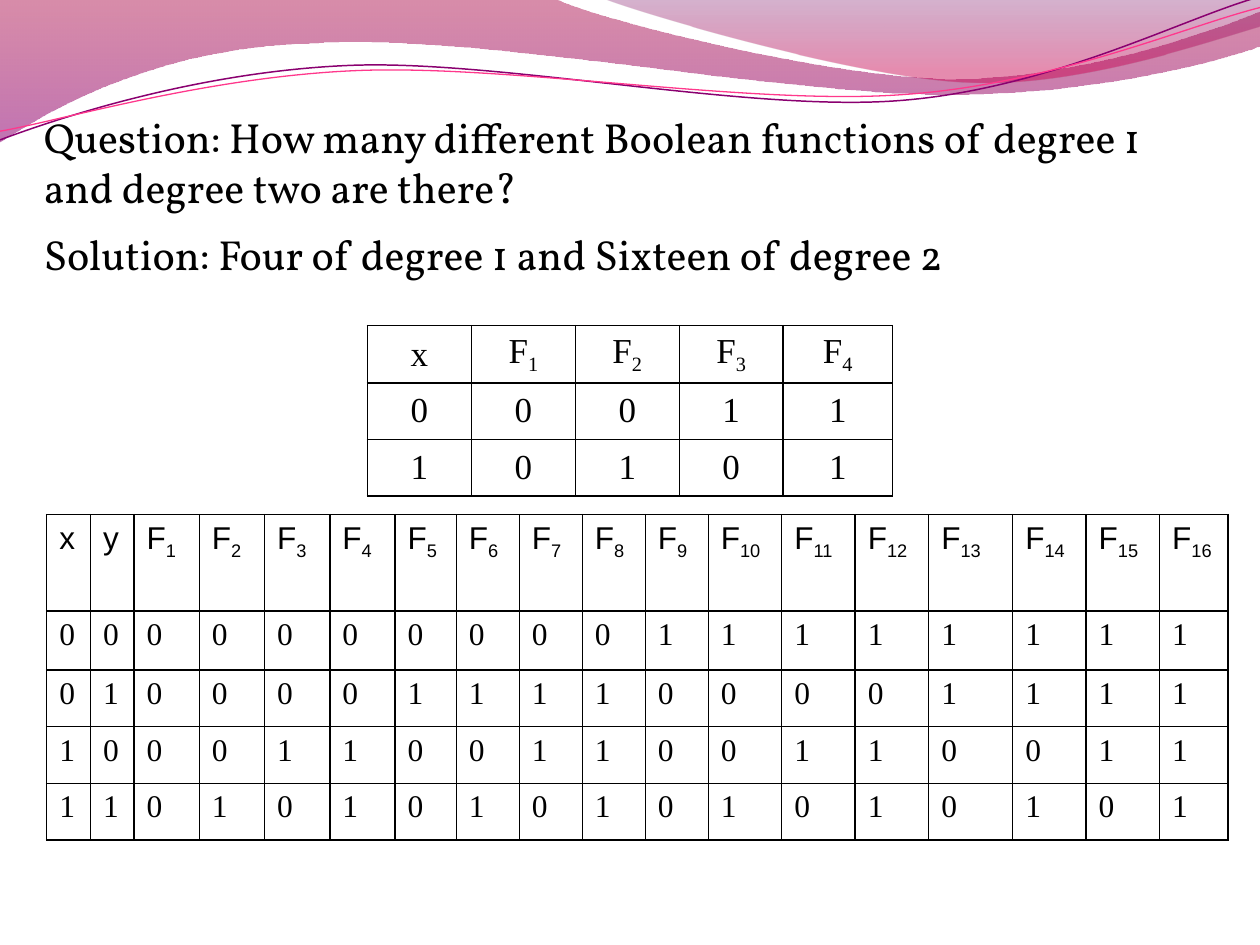
from itertools import product

from lxml import etree
from pptx import Presentation
from pptx.dml import color
from pptx.enum import text
from pptx.oxml import ns
from pptx.util import Pt

COLORS = {
    "ink": "000000",
    "crimson": "A90042",
    "purple": "8E0073",
    "plum": "73005E",
    "rose": "C9004F",
    "violet line": "8A0070",
    "pink line": "FF388C",
}


def add_wave(start, segments, closed):
    """Draw straight (2 numbers) and cubic Bezier (6 numbers) segments, in points."""
    corners = [(Pt(segment[i]), Pt(segment[i + 1]))
               for segment in segments for i in range(0, len(segment), 2)]
    builder = slide.shapes.build_freeform(Pt(start[0]), Pt(start[1]), scale=1.0)
    builder.add_line_segments(corners, close=closed)
    wave = builder.convert_to_shape()
    wave.shadow.inherit = False

    # Merge the three line steps of each Bezier segment into one curve
    steps = iter(list(wave._element.iter(ns.qn("a:lnTo"))))
    for segment in segments:
        first = next(steps)
        if len(segment) == 6:
            first.addprevious(curve := etree.Element(ns.qn("a:cubicBezTo")))
            for step in (first, next(steps), next(steps)):
                curve.append(step[0])
                step.getparent().remove(step)
    return wave


def add_truth_table(variables, left, top, widths, heights, size, header_font,
                    align, anchor, margin):
    """List every Boolean function of the variables, one numbered column each."""
    inputs = list(product((0, 1), repeat=len(variables)))
    count = 2 ** len(inputs)
    rows = [[(name, "") for name in variables] + [("F", str(n + 1)) for n in range(count)]]
    for index, values in enumerate(inputs):
        shift = len(inputs) - 1 - index
        outputs = [n >> shift & 1 for n in range(count)]
        rows.append([(str(bit), "") for bit in (*values, *outputs)])

    table = slide.shapes.add_table(len(rows), len(widths), Pt(left), Pt(top),
                                   Pt(sum(widths)), Pt(sum(heights))).table
    table.first_row = table.horz_banding = False
    for column, width in zip(table.columns, widths):
        column.width = Pt(width)
    for row, height in zip(table.rows, heights):
        row.height = Pt(height)

    for r, row in enumerate(rows):
        for c, (label, subscript) in enumerate(row):
            cell = table.cell(r, c)
            cell.vertical_anchor = anchor
            cell.margin_top = cell.margin_bottom = Pt(margin)
            properties = cell._tc.get_or_add_tcPr()
            for side in ("lnL", "lnR", "lnT", "lnB"):
                border = etree.SubElement(properties, ns.qn(f"a:{side}"), w=str(Pt(1)))
                fill = etree.SubElement(border, ns.qn("a:solidFill"))
                etree.SubElement(fill, ns.qn("a:srgbClr"), val=COLORS["ink"])
            cell.fill.background()
            para = cell.text_frame.paragraphs[0]
            para.alignment = align
            if not subscript:
                para.space_before = Pt(size * 0.2)
            for part in filter(None, (label, subscript)):
                span = para.add_run()
                span.text = part
                span.font.size = Pt(size)
                span.font.name = "Times New Roman" if r else header_font
                span.font.color.rgb = color.RGBColor.from_string(COLORS["ink"])
                if part == subscript:
                    span.font._element.set("baseline", "-25000")


deck = Presentation()
deck.slide_width, deck.slide_height = Pt(720), Pt(540)
slide = deck.slides.add_slide(deck.slide_layouts[6])

# Translucent bands: start, segments, gradient stops (position, colour, opacity %)
bands = [
    ((0, 0),
     [(317, -0.7), (343, 12, 478, 45, 546, 45), (614, 45, 690, 19, 720, 6.5), (720.7, 26),
      (708, 32, 626, 55, 537, 54), (446, 54, 275, 20, 185, 24.5), (93, 26, 33, 60, -0.7, 81.4)],
     [(0, "crimson", 45), (1, "purple", 55)]),
    ((345, -0.7),
     [(366.5, 8, 491, 44.6, 553.7, 46.8), (616.3, 49.7, 692, 23, 720, 15), (720, 0)],
     [(0, "plum", 30), (0.8, "rose", 45)]),
]
for start, segments, stops in bands:
    band = add_wave(start, segments, closed=True)
    band.line.fill.background()
    band.fill.gradient()
    band.fill.gradient_angle = 270
    for stop, (position, name, _) in zip(band.fill.gradient_stops, stops):
        stop.position = position
        stop.color.rgb = color.RGBColor.from_string(COLORS[name])
    tints = band._element.spPr.iter(ns.qn("a:srgbClr"))
    for tint, (_, _, opacity) in zip(list(tints), stops):
        etree.SubElement(tint, ns.qn("a:alpha"), val=str(opacity * 1000))

# Thin strands, tilted after drawing
strands = [
    ((-1.4, 63), [(33.8, 51.7, 114, 29.4, 199.8, 29.9), (284.8, 30.3, 425.8, 67.3, 512.4, 64.8),
                  (599, 62.4, 676.5, 25.7, 720.2, 15.5)], "violet line", 0.85),
    ((-1.1, 58), [(32.9, 53.8, 118.3, 32.5, 204, 33), (290.6, 33.4, 429, 63.8, 515.5, 61.4),
                  (601.4, 59.6, 678.4, 30, 721.4, 21.3)], "pink line", 0.75),
]
for start, segments, name, weight in strands:
    strand = add_wave(start, segments, closed=False)
    strand.rotation = 357.3
    strand.fill.background()
    strand.line.color.rgb = color.RGBColor.from_string(COLORS[name])
    strand.line.width = Pt(weight)

box = slide.shapes.add_textbox(Pt(18), Pt(60), Pt(690), Pt(138))
frame = box.text_frame
frame.word_wrap = True
frame.margin_right = Pt(20)
frame.text = ("Question: How many different Boolean functions of degree 1 and degree two are there?\n"
              "Solution: Four of degree 1 and Sixteen of degree 2")
for para in frame.paragraphs:
    para.space_before = para.space_after = Pt(4.8)
    font = para.runs[0].font
    font.name, font.size = "Vollkorn", Pt(24)
    font.color.rgb = color.RGBColor.from_string(COLORS["ink"])

add_truth_table("x", 210, 186, [59.4] * 4 + [62.4], [32.4] * 3, 20,
                "Times New Roman", text.PP_ALIGN.CENTER, text.MSO_ANCHOR.MIDDLE, 2.7)
add_truth_table("xy", 26.7, 294,
                [25] * 2 + [37.3] * 4 + [35] + [36] * 4 + [42] * 3 + [48] + [42] * 2 + [39],
                [55.2, 33.6] + [32.4] * 3, 18,
                "Arial", text.PP_ALIGN.LEFT, text.MSO_ANCHOR.TOP, 3.6)

deck.save("out.pptx")
